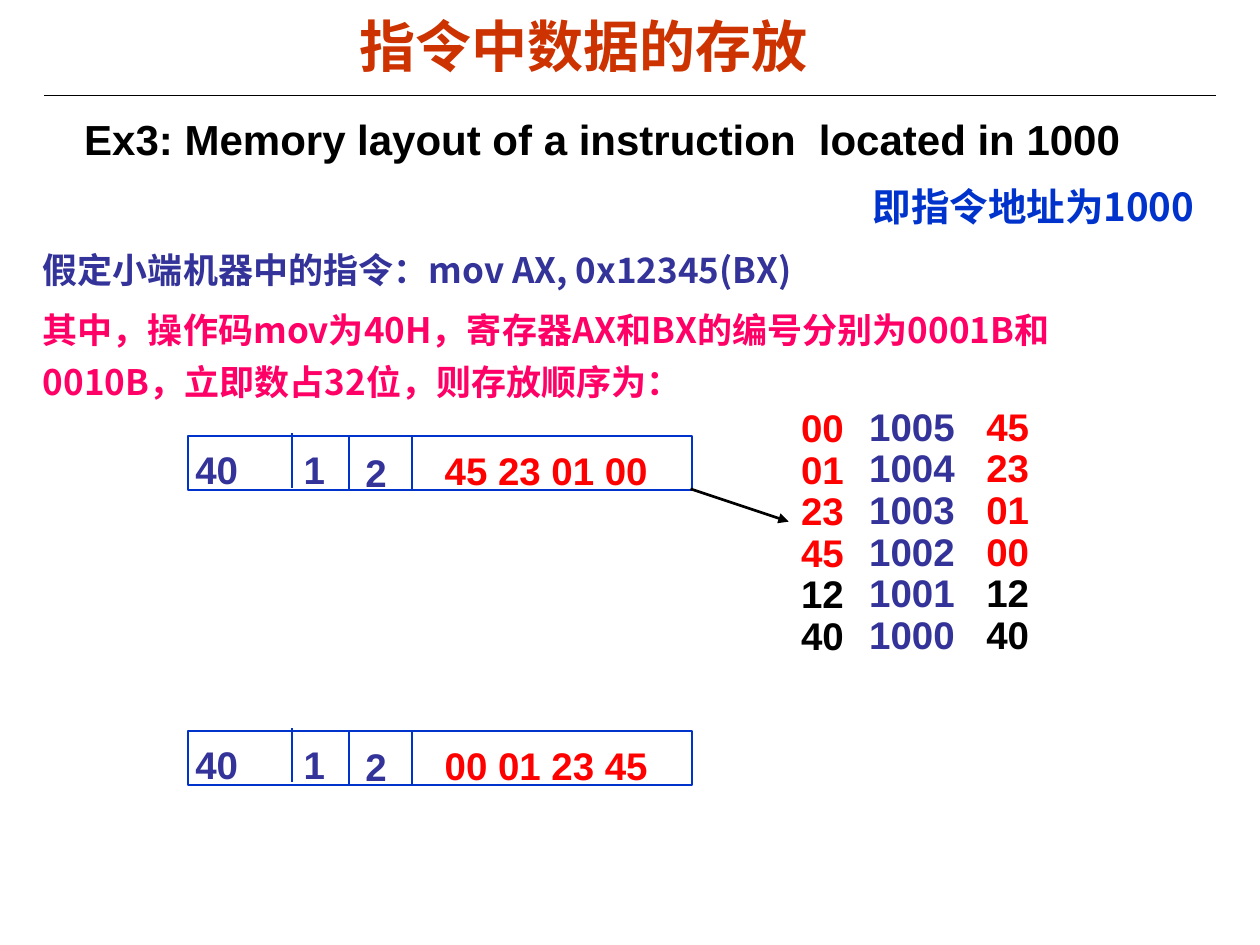
from dataclasses import dataclass

from lxml.etree import SubElement
from pptx import Presentation
from pptx.dml.color import RGBColor
from pptx.enum.shapes import MSO_CONNECTOR, MSO_SHAPE
from pptx.enum.text import MSO_ANCHOR, PP_ALIGN
from pptx.oxml.ns import qn
from pptx.util import Inches, Pt


@dataclass(frozen=True)
class Theme:
    latin: str = "Arial"
    chinese: str = "Noto Sans CJK SC"
    title: str = "CC3300"
    black: str = "000000"
    indigo: str = "333399"
    pink: str = "FF0066"
    blue: str = "0033CC"
    red: str = "FF0000"
    title_size: int = 32
    heading_size: int = 24
    code_size: int = 22
    body_size: int = 20


THEME = Theme()
TIGHT = (0.07, 0.03)
NORMAL = (0.1, 0.05)


def color(value):
    return RGBColor.from_string(value)


def add_text(shapes, box, lines, size, font=THEME.latin, margins=NORMAL,
             spacing=1.0, before=0, align=PP_ALIGN.LEFT, wrap=True):
    """Place one paragraph for each (text, colour) pair in lines."""
    frame = shapes.add_textbox(*map(Inches, box)).text_frame
    frame.word_wrap = wrap
    frame.vertical_anchor = MSO_ANCHOR.TOP
    frame.margin_left = frame.margin_right = Inches(margins[0])
    frame.margin_top = frame.margin_bottom = Inches(margins[1])
    for index, (text, text_color) in enumerate(lines):
        paragraph = frame.add_paragraph() if index else frame.paragraphs[0]
        paragraph.alignment = align
        paragraph.line_spacing = spacing
        paragraph.space_before = Pt(before if index else 0)
        run = paragraph.add_run()
        run.text = text
        run.font.name = font
        run.font.size = Pt(size)
        run.font.bold = True
        run.font.color.rgb = color(text_color)
        SubElement(run.font._element, qn("a:ea"), typeface=THEME.chinese)


def add_line(shapes, start, end, line_color, width, arrow=False):
    line = shapes.add_connector(MSO_CONNECTOR.STRAIGHT, *map(Inches, (*start, *end)))
    line.line.color.rgb = color(line_color)
    line.line.width = Pt(width)
    if arrow:
        SubElement(line.line._get_or_add_ln(), qn("a:tailEnd"), type="triangle")
    SubElement(line._element.spPr, qn("a:effectLst"))


def add_header(slide, left, top, width):
    add_line(slide.shapes, (left, top + 0.7), (left + width, top + 0.7), THEME.black, 0.75)
    add_text(slide.shapes, (left + 0.43, top, 7.71, 0.6), [("指令中数据的存放", THEME.title)],
             THEME.title_size, margins=TIGHT, align=PP_ALIGN.CENTER)


def add_description(slide, left, top, width):
    add_text(slide.shapes, (left + 0.3, top, width - 0.37, 0.46),
             [("Ex3: Memory layout of a instruction  located in 1000", THEME.black)],
             THEME.heading_size, spacing=0.9)
    add_text(slide.shapes, (left + 6.56, top + 0.5, 2.9, 0.47),
             [("即指令地址为1000", THEME.blue)], THEME.code_size, THEME.chinese)
    add_text(slide.shapes, (left, top + 0.96, width, 1.34),
             [("假定小端机器中的指令：mov AX, 0x12345(BX)", THEME.indigo),
              ("其中，操作码mov为40H，寄存器AX和BX的编号分别为0001B和0010B，"
               "立即数占32位，则存放顺序为：", THEME.pink)],
             THEME.body_size, THEME.chinese, TIGHT, spacing=1.25, before=4)


def add_instruction(slide, left, top, width, height, immediate):
    """Draw the instruction word split into opcode, two registers and immediate."""
    shapes = slide.shapes.add_group_shape().shapes
    frame = shapes.add_shape(MSO_SHAPE.RECTANGLE, *map(Inches, (left, top, width, height)))
    frame.shadow.inherit = False
    frame.fill.background()
    frame.line.color.rgb = color(THEME.blue)
    frame.line.width = Pt(1)
    for offset, rise in ((0.83, 0.02), (1.28, 0), (1.78, 0)):
        x, y = left + offset, top - rise
        add_line(shapes, (x, y), (x, y + height), THEME.blue, 1)
    fields = (
        ("40", -0.01, 0.05, 0.73, THEME.indigo),
        ("1", 0.85, 0.05, 0.57, THEME.indigo),
        ("2", 1.34, 0.07, 0.57, THEME.indigo),
        (immediate, 1.97, 0.06, 1.84, THEME.red),
    )
    for text, x, y, field_width, text_color in fields:
        add_text(shapes, (left + x, top + y, field_width, 0.42), [(text, text_color)],
                 THEME.code_size, margins=TIGHT)


def add_memory_column(shapes, left, top, width, lines):
    add_text(shapes, (left, top, width, 2.08), lines, THEME.code_size, spacing=0.9, wrap=False)


def add_memory(slide, left, top):
    """Show the byte order of both layouts on either side of the addresses."""
    immediate = ["00", "01", "23", "45"]
    codes = [(code, THEME.black) for code in ("12", "40")]
    little = [(byte, THEME.red) for byte in immediate] + codes
    big = [(byte, THEME.red) for byte in reversed(immediate)] + codes
    addresses = [(str(address), THEME.indigo) for address in range(1005, 999, -1)]
    group = slide.shapes.add_group_shape().shapes
    add_memory_column(group, left, top + 0.01, 0.54, little)
    add_line(group, (left - 0.78, top + 0.69), (left, top + 0.95), THEME.black, 1.5, arrow=True)
    add_memory_column(slide.shapes, left + 0.54, top, 0.88, addresses)
    add_memory_column(slide.shapes, left + 1.47, top, 0.54, big)


def main():
    presentation = Presentation()
    presentation.slide_width = Inches(10)
    presentation.slide_height = Inches(7.5)
    slide = presentation.slides.add_slide(presentation.slide_layouts[6])
    add_header(slide, 0.35, 0.06, 9.3)
    add_description(slide, 0.27, 0.9, 9.12)
    for top, immediate in ((3.46, "45 23 01 00"), (5.8, "00 01 23 45")):
        add_instruction(slide, 1.49, top, 4, 0.43, immediate)
    add_memory(slide, 6.26, 3.19)
    presentation.save("out.pptx")


if __name__ == "__main__":
    main()
